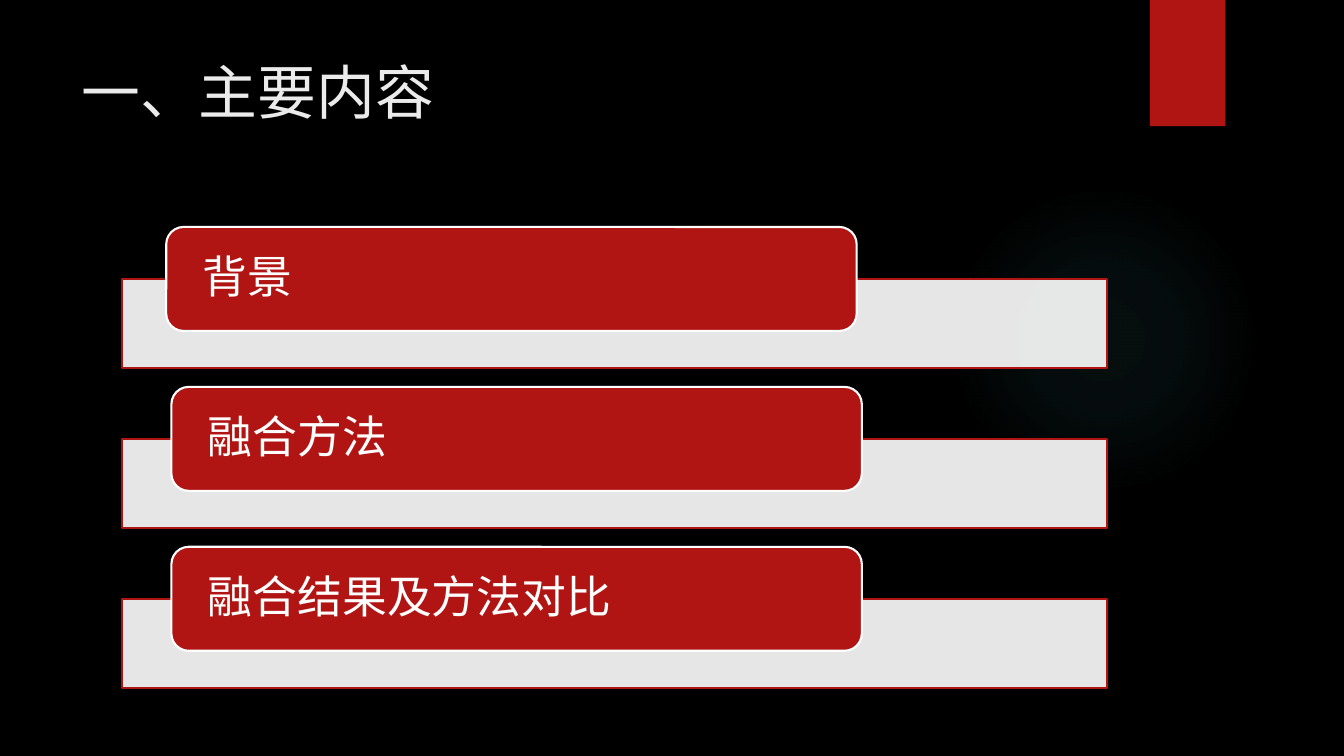
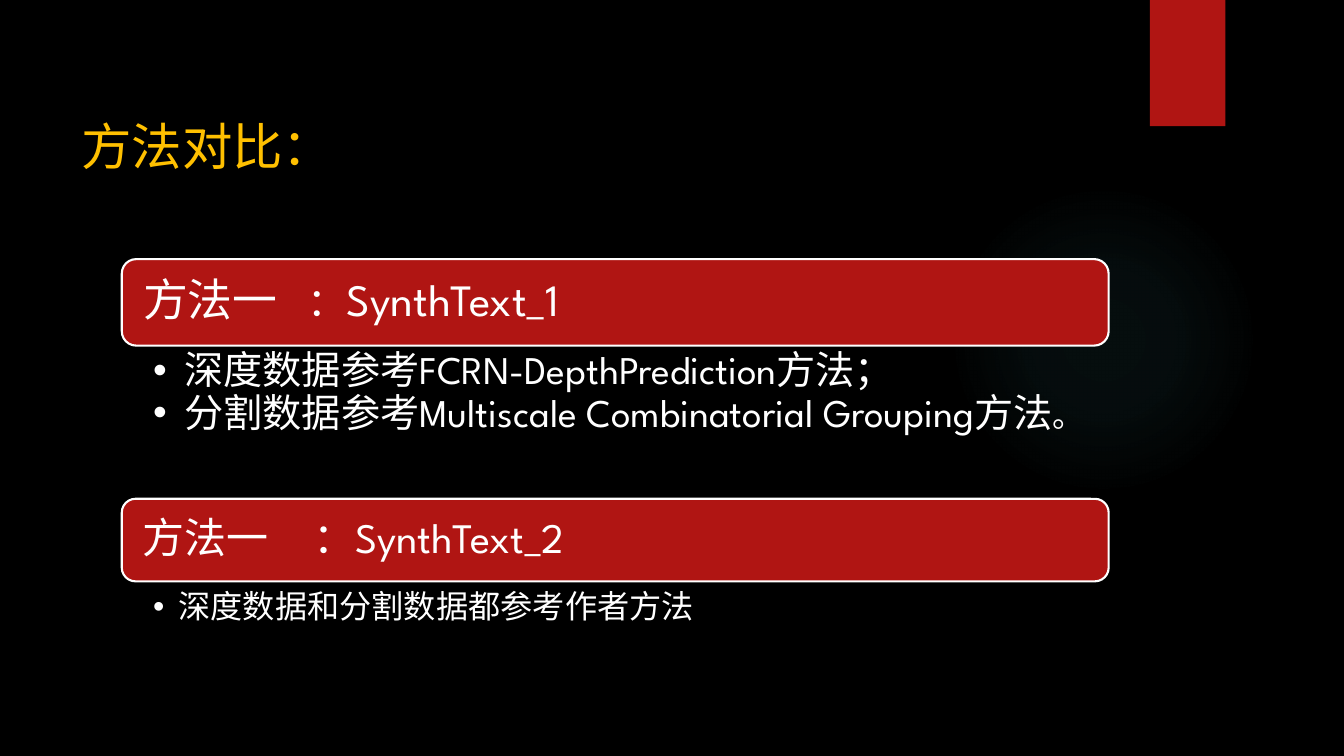
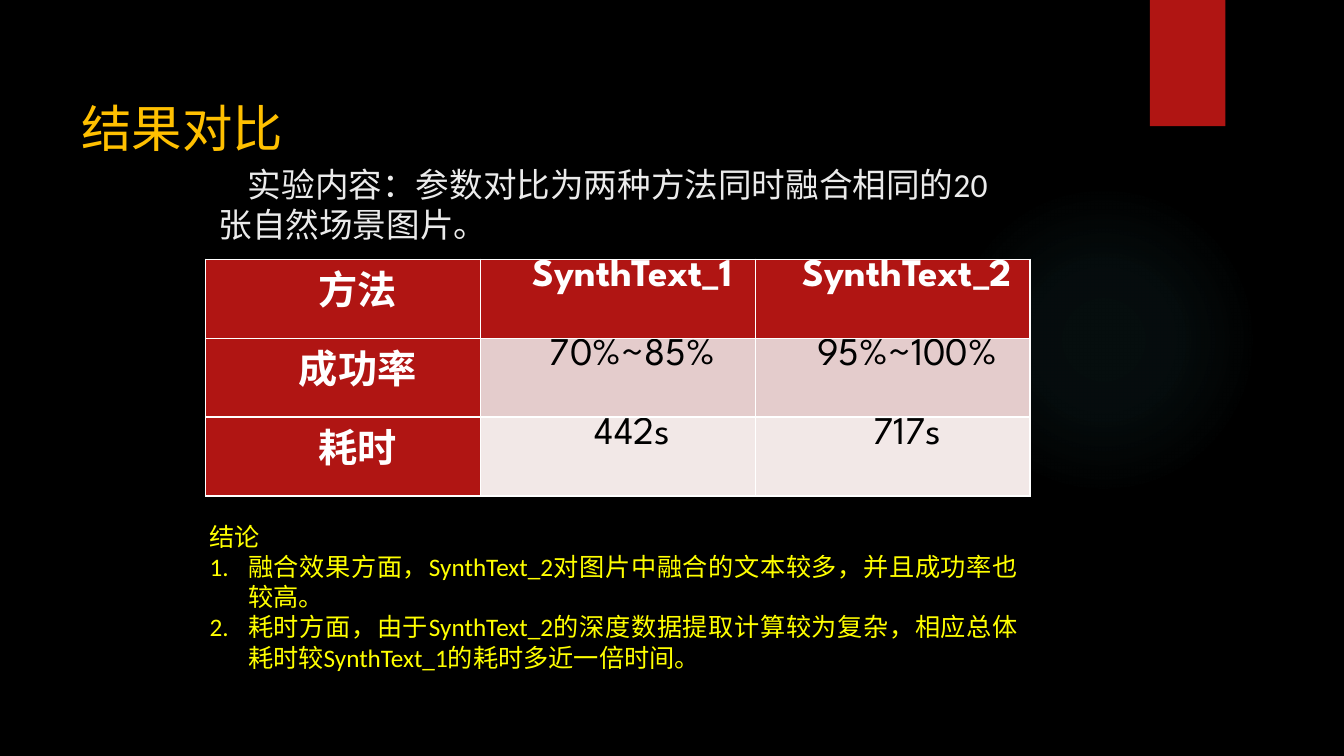
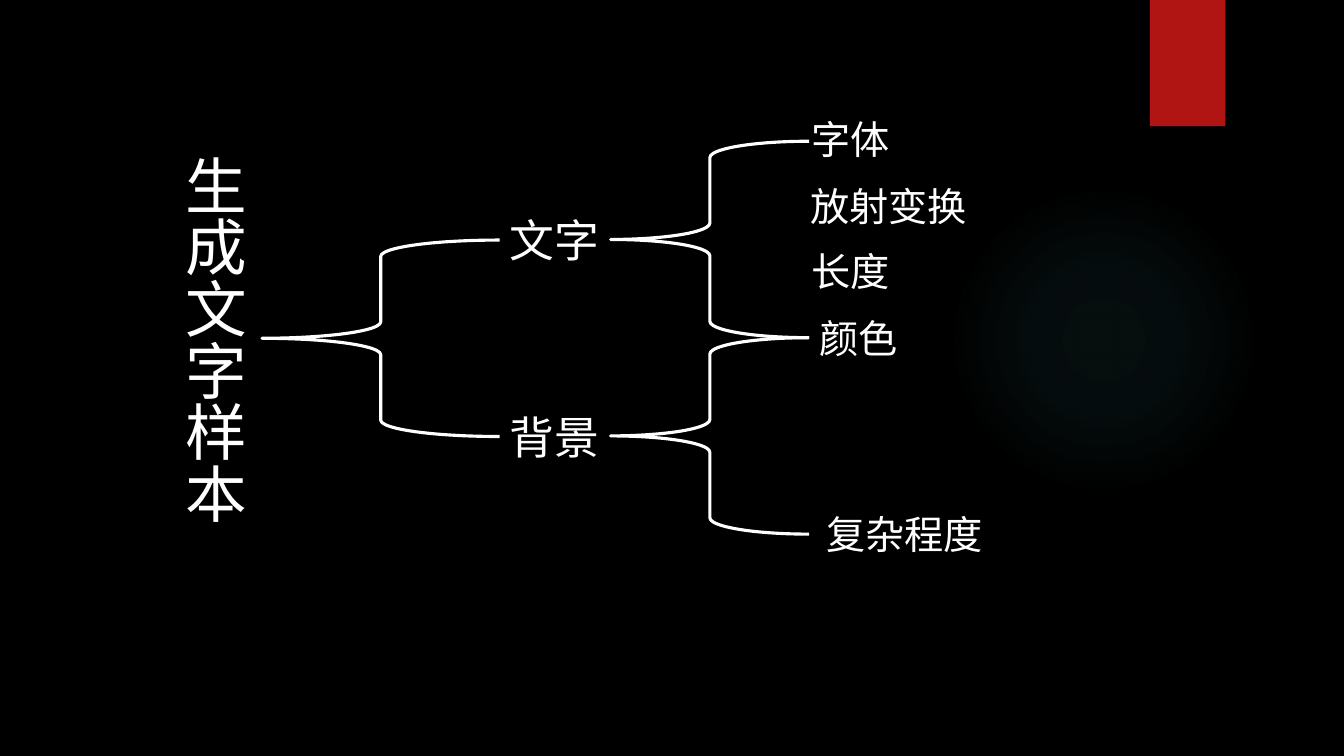
from lxml.etree import SubElement
from pptx import Presentation
from pptx.dml.color import RGBColor
from pptx.enum.shapes import MSO_SHAPE
from pptx.enum.text import MSO_ANCHOR, MSO_AUTO_SIZE, PP_ALIGN
from pptx.oxml import parse_xml
from pptx.oxml.ns import nsdecls, qn
from pptx.util import Cm, Pt

RED, WHITE, BLACK = "B01513", "FFFFFF", "000000"
PALE, GOLD, YELLOW, TEAL = "EBEBEB", "FFC000", "FFFF00", "50B9C1"
HEADING_FONT, TEXT_FONT = "League Spartan", "Calibri"
TITLE_AND_CONTENT, TWO_CONTENT, TITLE_ONLY, BLANK = 1, 3, 5, 6
DEFAULT_INSETS = (0.25, 0.13, 0.25, 0.13)
CONTENT_LEFT = 3.07


def color(hex_string):
    return RGBColor.from_string(hex_string)


def place(shape, left, top, width, height):
    shape.left, shape.top = Cm(left), Cm(top)
    shape.width, shape.height = Cm(width), Cm(height)


def set_indent(paragraph, left, first=0.0):
    properties = paragraph._p.get_or_add_pPr()
    properties.set("marL", str(Cm(left)))
    properties.set("indent", str(Cm(first)))


def set_bullet(paragraph, tag, **attributes):
    SubElement(paragraph._p.get_or_add_pPr(), qn(tag), attributes)


def set_tab(paragraph, position):
    tabs = SubElement(paragraph._p.get_or_add_pPr(), qn("a:tabLst"))
    SubElement(tabs, qn("a:tab"), pos=str(Cm(position)), algn="l")


class Deck:
    """Holds the presentation, its shared style and the current slide."""

    def __init__(self):
        self.presentation = Presentation()
        self.presentation.slide_width = Cm(33.87)
        self.presentation.slide_height = Cm(19.05)
        self.slide = None

    def add_slide(self, layout):
        layouts = self.presentation.slide_layouts
        self.slide = self.presentation.slides.add_slide(layouts[layout])

    def decorate_master(self):
        """Draw the glow and the ribbon, then move them to the master."""
        master = self.presentation.slide_master
        master.background.fill.solid()
        master.background.fill.fore_color.rgb = color(BLACK)
        glow = self.shape(MSO_SHAPE.OVAL, 23.9, 4.65, 7.82, 7.82)
        stops = "".join(
            f'<a:gs pos="{position}000"><a:srgbClr val="{TEAL}">'
            f'<a:alpha val="{alpha}000"/></a:srgbClr></a:gs>'
            for position, alpha in ((0, 7), (36, 6), (69, 0)))
        gradient = parse_xml(
            f'<a:gradFill {nsdecls("a")}><a:gsLst>{stops}</a:gsLst>'
            '<a:path path="circle"><a:fillToRect l="50000" t="50000" '
            'r="50000" b="50000"/></a:path></a:gradFill>')
        properties = glow.element.spPr
        properties.replace(properties.find(qn("a:noFill")), gradient)
        ribbon = self.shape(MSO_SHAPE.RECTANGLE, 28.98, 0, 1.9, 3.18, RED)
        for number, shape in enumerate((glow, ribbon), 101):
            shape.element.nvSpPr.cNvPr.id = number
            master.element.cSld.spTree.append(shape.element)

    def shape(self, kind, left, top, width, height, fill=None, line=None,
              line_width=1.5, opacity=100):
        shape = self.slide.shapes.add_shape(
            kind, Cm(left), Cm(top), Cm(width), Cm(height))
        shape.shadow.inherit = False
        if fill:
            shape.fill.solid()
            shape.fill.fore_color.rgb = color(fill)
            if opacity < 100:
                paint = shape.element.spPr.find(qn("a:solidFill"))[0]
                SubElement(paint, qn("a:alpha"), val=f"{opacity}000")
        else:
            shape.fill.background()
        if line:
            shape.line.color.rgb = color(line)
            shape.line.width = Pt(line_width)
        else:
            shape.line.fill.background()
        return shape

    def format_run(self, run, size, hex_string=WHITE, font=HEADING_FONT,
                   bold=False):
        run.font.name = font
        run.font.size = Pt(size)
        run.font.bold = bold
        run.font.color.rgb = color(hex_string)
        if font == TEXT_FONT:
            SubElement(run.font._element, qn("a:ea"), typeface=font)

    def fill_text(self, shape, paragraphs, size, hex_string=WHITE,
                  font=HEADING_FONT, insets=DEFAULT_INSETS,
                  anchor=MSO_ANCHOR.TOP, align=PP_ALIGN.LEFT, spacing=1.0):
        """Fill a shape; a paragraph is a string or a list of (text, size)."""
        frame = shape.text_frame
        frame.word_wrap = True
        frame.auto_size = MSO_AUTO_SIZE.NONE
        frame.vertical_anchor = anchor
        (frame.margin_left, frame.margin_top,
         frame.margin_right, frame.margin_bottom) = map(Cm, insets)
        for index, content in enumerate(paragraphs):
            paragraph = frame.add_paragraph() if index else frame.paragraphs[0]
            paragraph.alignment = align
            paragraph.line_spacing = spacing
            paragraph.space_before = Pt(0)
            pieces = [(content, size)] if isinstance(content, str) else content
            for text, piece_size in pieces:
                run = paragraph.add_run()
                run.text = text
                self.format_run(run, piece_size, hex_string, font)
        return frame.paragraphs

    def title(self, text, top, size=36, hex_string=GOLD):
        title = self.slide.shapes.title
        place(title, 1.8, top, 26.14, 5.16 - top)
        self.fill_text(title, [text], size, hex_string)

    def text(self, content, left, top, width, height, size, **style):
        box = self.slide.shapes.add_textbox(
            Cm(left), Cm(top), Cm(width), Cm(height))
        return box, self.fill_text(box, [content], size, **style)

    def red_bar(self, content, left, top, width, height, size, inset):
        bar = self.shape(MSO_SHAPE.ROUNDED_RECTANGLE, left, top, width, height,
                         RED, WHITE)
        return self.fill_text(bar, [content], size,
                              insets=(inset, 0, inset, 0),
                              anchor=MSO_ANCHOR.MIDDLE, spacing=0.9)[0]

    def bullets(self, placeholder, items, top, height, size, indent):
        body = self.slide.placeholders[placeholder]
        place(body, CONTENT_LEFT, top, 24.87, height)
        for paragraph in self.fill_text(body, items, size, spacing=0.9,
                                        insets=(0.79, 0.1, 0.56, 0.1)):
            set_indent(paragraph, indent, -indent)
            set_bullet(paragraph, "a:buChar", char="•")

    def numbered(self, heading, items, left, top, width, height, size):
        body = self.slide.placeholders[1]
        place(body, left, top, width, height)
        first, *rest = self.fill_text(body, [heading, *items], size, YELLOW,
                                      TEXT_FONT, align=PP_ALIGN.JUSTIFY)
        set_indent(first, 0)
        set_bullet(first, "a:buNone")
        for paragraph in rest:
            set_indent(paragraph, 0.97, -0.97)
            set_bullet(paragraph, "a:buAutoNum", type="arabicPeriod")

    def table(self, rows, left, top, width, height, size):
        table = self.slide.shapes.add_table(
            len(rows), len(rows[0]), Cm(left), Cm(top), Cm(width),
            Cm(height)).table
        table.first_col = True
        for row, values in enumerate(rows):
            for column, value in enumerate(values):
                cell = table.cell(row, column)
                heading = row == 0 or column == 0
                cell.fill.solid()
                cell.fill.fore_color.rgb = color(
                    RED if heading else ("F2E8E7", "E4CCCC")[row % 2])
                cell.margin_left = cell.margin_right = Cm(0.18)
                cell.margin_top = cell.margin_bottom = 0
                cell.text_frame.text = value
                paragraph = cell.text_frame.paragraphs[0]
                paragraph.alignment = PP_ALIGN.CENTER
                set_indent(paragraph, 0, 0.74)
                self.format_run(paragraph.runs[0], size,
                                WHITE if heading else BLACK, bold=heading)

    def brace(self, left, top, width):
        self.shape(MSO_SHAPE.LEFT_BRACE, left, top, width, 4.95,
                   line=WHITE, line_width=2.25)


def contents_slide(deck):
    deck.title("一、主要内容", 1.27, 42, PALE)
    topics = (("背景", 4.19), ("融合方法", 4.32), ("融合结果及方法对比", 4.32))
    for index, (topic, left) in enumerate(topics):
        top = 5.72 + index * 4.03
        deck.shape(MSO_SHAPE.RECTANGLE, CONTENT_LEFT, top + 1.32, 24.84, 2.24,
                   WHITE, RED, opacity=90)
        deck.red_bar(topic, left, top, 17.4, 2.62, 32, 0.79)


def methods_slide(deck):
    deck.title("方法对比：", 2.77)
    first = [("方法一\t", 32), ("：", 28), ("SynthText_1", 32)]
    second = "方法一\t：SynthText_2"
    for content, top, height, size, tab in ((first, 6.53, 2.18, 32, 4.15),
                                            (second, 12.57, 2.08, 30, 4.3)):
        set_tab(deck.red_bar(content, CONTENT_LEFT, top, 24.87, height, size,
                             0.43), tab)
    deck.bullets(1, [
        "深度数据参考FCRN-DepthPrediction方法；",
        [("分割数据参考Multiscale Combinatorial Grouping方法", 28), ("。", 23)],
    ], 8.74, 3.96, 28, 0.79)
    deck.bullets(2, ["深度数据和分割数据都参考作者方法"], 14.78, 2.31, 23, 0.64)


def results_slide(deck):
    deck.title("结果对比", 2.31)
    deck.table([("方法", "SynthText_1", "SynthText_2"),
                ("成功率", "70%~85%", "95%~100%"),
                ("耗时", "442s", "717s")], 5.18, 6.53, 20.78, 5.97, 28)
    deck.numbered("结论", [
        "融合效果方面，SynthText_2对图片中融合的文本较多，并且成功率也较高。",
        "耗时方面，由于SynthText_2的深度数据提取计算较为复杂，"
        "相应总体耗时较SynthText_1的耗时多近一倍时间。",
    ], 5.03, 13, 20.88, 4.11, 18)
    _, paragraphs = deck.text(
        "实验内容：参数对比为两种方法同时融合相同的20张自然场景图片。",
        3.25, 3.99, 22.25, 2.31, 24, hex_string=PALE, font=TEXT_FONT)
    set_indent(paragraphs[0], 2.01, 0.74)


def samples_slide(deck):
    root, _ = deck.text("生成文字样本", 4.19, 3.78, 2.39, 10.29, 44)
    root.text_frame._txBody.bodyPr.set("vert", "eaVert")
    for branch, top in (("文字", 5.23), ("背景", 10.19)):
        deck.text(branch, 12.6, top, 2.79, 1.63, 32)
    for leaf, left, top, width in (("字体", 20.19, 2.77, 2.79),
                                   ("放射变换", 20.17, 4.47, 4.7),
                                   ("长度", 20.19, 6.1, 2.79),
                                   ("颜色", 20.4, 7.8, 2.79),
                                   ("复杂程度", 20.57, 12.73, 4.95)):
        deck.text(leaf, left, top, width, 1.45, 28)
    for left, top, width in ((6.6, 6.05, 5.99), (15.39, 3.56, 5),
                             (15.39, 8.51, 5)):
        deck.brace(left, top, width)


def main():
    deck = Deck()
    slides = ((TITLE_ONLY, contents_slide), (TWO_CONTENT, methods_slide),
              (TITLE_AND_CONTENT, results_slide), (BLANK, samples_slide))
    for index, (layout, build) in enumerate(slides):
        deck.add_slide(layout)
        if index == 0:
            deck.decorate_master()
        build(deck)
    deck.presentation.save("out.pptx")


if __name__ == "__main__":
    main()
